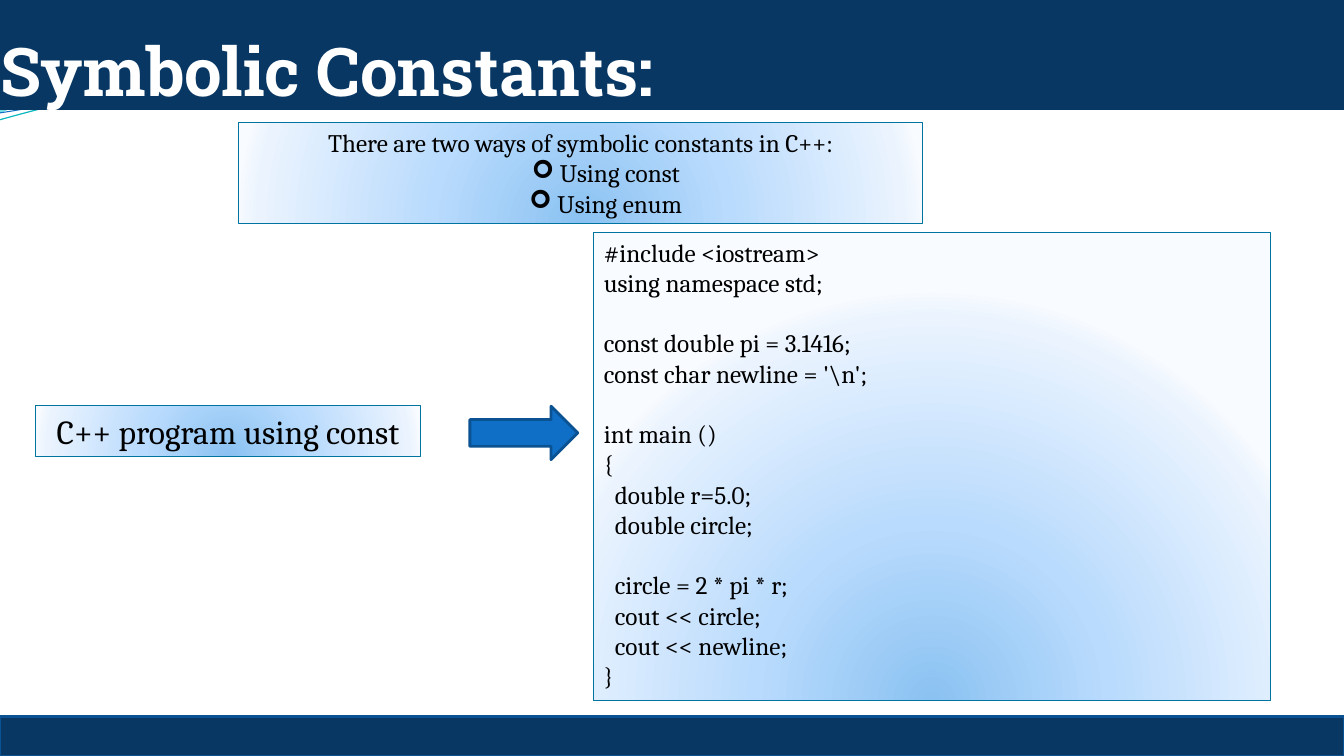
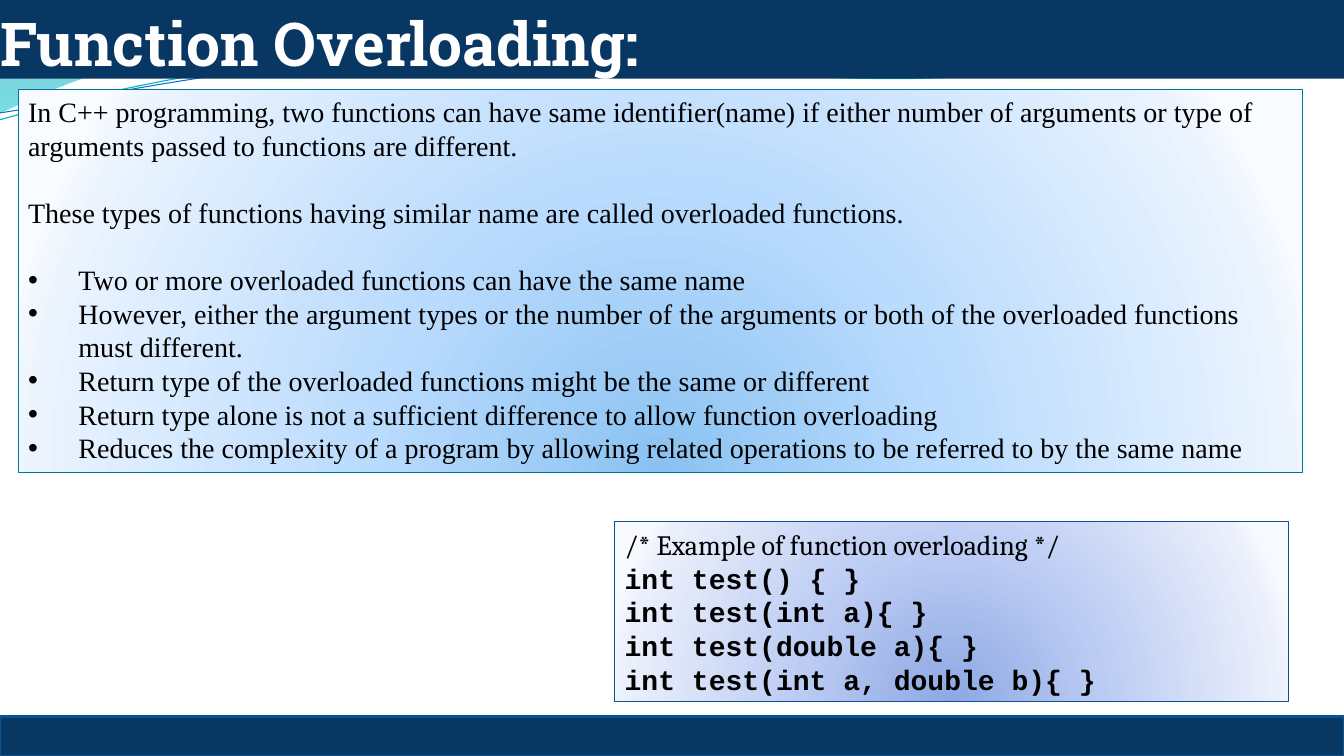
import dataclasses
import typing

import pptx
import pptx.dml.color
import pptx.enum.shapes
import pptx.enum.text
import pptx.oxml
import pptx.oxml.ns
import pptx.util

SHAPE = pptx.enum.shapes.MSO_SHAPE
ANCHOR = pptx.enum.text.MSO_ANCHOR
ALIGN = pptx.enum.text.PP_ALIGN
AUTO_SIZE = pptx.enum.text.MSO_AUTO_SIZE

WIDTH = pptx.util.Inches(13.33)
HEIGHT = pptx.util.Inches(7.5)
CELL_PARTS = 100
CELL_PART = pptx.util.Inches(1) / CELL_PARTS
LINE_HEIGHT = 1.2

NAVY, WHITE, BLACK = "083763", "FFFFFF", "000000"
BLUE, BLUE_EDGE = "0F6FC6", "0B5292"

Point = tuple[float, float]
Stop = tuple[float, str, float]


@dataclasses.dataclass(frozen=True)
class Area:
    left: float
    top: float
    width: float
    height: float

    def emu(self) -> tuple[int, int, int, int]:
        return (
            round(WIDTH * self.left / 100),
            round(HEIGHT * self.top / 100),
            round(WIDTH * self.width / 100),
            round(HEIGHT * self.height / 100),
        )


@dataclasses.dataclass(frozen=True)
class Wave:
    start: Point
    segments: tuple[tuple[Point, ...], ...]
    stops: tuple[Stop, ...] = ()
    line: str = ""
    weight: float = 0


@dataclasses.dataclass(frozen=True)
class Palette:
    stops: tuple[Stop, ...]
    line: str


@dataclasses.dataclass(frozen=True)
class Line:
    text: str
    bullet: str = ""
    bullet_font: str = ""
    level: int = 0
    margin: float = 0
    hanging: float = 0
    gap: bool = False
    font: str = ""


@dataclasses.dataclass(frozen=True)
class Panel:
    area: Area
    lines: tuple[Line, ...]
    palette: Palette
    size: float = 18
    font: str = "Cambria"
    align: typing.Any = ALIGN.LEFT
    anchor: typing.Any = ANCHOR.TOP


@dataclasses.dataclass(frozen=True)
class Topic:
    title: str
    title_size: float
    title_height: float
    panels: tuple[Panel, ...]
    arrow: typing.Optional[Area] = None


WAVES = (
    Wave(
        (0, 0),
        (
            ((5.87, -0.01),),
            ((6.34, 0.17), (8.85, 0.63), (10.11, 0.63)),
            ((11.38, 0.63), (12.78, 0.26), (13.33, 0.09)),
            ((13.35, 0.36),),
            ((13.11, 0.44), (11.6, 0.76), (9.94, 0.75)),
            ((8.29, 0.75), (5.09, 0.28), (3.43, 0.34)),
            ((1.72, 0.36), (0.61, 0.83), (-0.01, 1.13)),
            ((0, 0),),
        ),
        stops=((0, "0074A1", 45), (100, "00C6CF", 55)),
    ),
    Wave(
        (6.39, -0.01),
        (
            ((6.79, 0.11), (9.09, 0.62), (10.25, 0.65)),
            ((11.41, 0.69), (12.82, 0.32), (13.33, 0.21)),
            ((13.33, 0),),
            ((6.39, -0.01),),
        ),
        stops=((0, "00A1A9", 30), (80, "008BBF", 45)),
    ),
    Wave(
        (-0.01, 1.19),
        (
            ((0.64, 1.01), (2.11, 0.62), (3.69, 0.55)),
            ((5.27, 0.48), (7.9, 0.87), (9.5, 0.76)),
            ((11.1, 0.66), (12.52, 0.08), (13.31, -0.1)),
        ),
        line="0AB8BF",
        weight=0.85,
    ),
    Wave(
        (0, 1.12),
        (
            ((0.63, 1.03), (2.18, 0.66), (3.78, 0.59)),
            ((5.37, 0.53), (7.96, 0.82), (9.55, 0.72)),
            ((11.15, 0.62), (12.55, 0.14), (13.34, -0.02)),
        ),
        line=BLUE,
        weight=0.75,
    ),
)

SKY = Palette(
    ((0, "8BC2F1", 100), (43, "B9DBFD", 100), (93, "EAF3FE", 100), (100, "F8FBFF", 100)),
    "0074A1",
)
LILAC = Palette(
    ((0, "8DA8E3", 100), (43, "BBCBF3", 100), (93, "EAEFFB", 100), (100, "F7F9FF", 100)),
    "095295",
)

FOOTER = Area(0, 94.8, 100, 5.2)
CHEVRON = {"bullet": "➢", "bullet_font": "Wingdings", "level": 1, "margin": 0.5}
DOT = {"bullet": "•", "bullet_font": "Arial", "margin": 0.5, "hanging": -0.5}
NESTED = {"margin": 0.11}
CODE = {"font": "Courier New"}

TOPICS = (
    Topic(
        "Symbolic Constants:", 48, 14.53,
        (
            Panel(
                Area(17.78, 16.2, 50.86, 13.4),
                (
                    Line("There are two ways of symbolic constants in C++:"),
                    Line(" Using const", **CHEVRON),
                    Line(" Using enum", **CHEVRON),
                ),
                SKY,
                align=ALIGN.CENTER,
            ),
            Panel(
                Area(44.19, 30.7, 50.34, 61.92),
                (
                    Line("#include <iostream>"),
                    Line("using namespace std;"),
                    Line("const double pi = 3.1416;", gap=True),
                    Line("const char newline = '\\n';"),
                    Line("int main ()", gap=True),
                    Line("{"),
                    Line("double r=5.0;", **NESTED),
                    Line("double circle;", **NESTED),
                    Line("circle = 2 * pi * r;", gap=True, **NESTED),
                    Line("cout << circle;", **NESTED),
                    Line("cout << newline;", **NESTED),
                    Line("}"),
                ),
                SKY,
            ),
            Panel(
                Area(2.63, 53.65, 28.66, 6.7),
                (Line("C++ program using const"),),
                SKY,
                size=24,
                align=ALIGN.CENTER,
            ),
        ),
        arrow=Area(34.96, 53.73, 8.03, 7.07),
    ),
    Topic(
        "Function Overloading:", 43.2, 10.4,
        (
            Panel(
                Area(1.35, 11.87, 95.57, 50.7),
                (
                    Line("In C++ programming, two functions can have same identifier(name) if either number of arguments or type of arguments passed to functions are different."),
                    Line("These types of functions having similar name are called overloaded functions.", gap=True),
                    Line("Two or more overloaded functions can have the same name", gap=True, **DOT),
                    Line("However, either the argument types or the number of the arguments or both of the overloaded functions must different.", **DOT),
                    Line("Return type of the overloaded functions might be the same or different", **DOT),
                    Line("Return type alone is not a sufficient difference to allow function overloading", **DOT),
                    Line("Reduces the complexity of a program by allowing related operations to be referred to by the same name", **DOT),
                ),
                SKY,
                size=20,
                font="Times New Roman",
            ),
            Panel(
                Area(45.74, 69.03, 50.1, 23.73),
                (
                    Line("/* Example of function overloading */"),
                    Line("int test() { }", **CODE),
                    Line("int test(int a){ }", **CODE),
                    Line("int test(double a){ }", **CODE),
                    Line("int test(int a, double b){ }", **CODE),
                ),
                LILAC,
                size=20,
                anchor=ANCHOR.MIDDLE,
            ),
        ),
    ),
)


def rgb(value: str) -> pptx.dml.color.RGBColor:
    return pptx.dml.color.RGBColor.from_string(value)


def apply(target: typing.Any, values: dict[str, typing.Any]) -> None:
    for name, value in values.items():
        setattr(target, name, value)


def element(markup: str) -> typing.Any:
    head, rest = markup.split(" ", 1)
    return pptx.oxml.parse_xml(f"{head} {pptx.oxml.ns.nsdecls('a')} {rest}")


def paint(shape: typing.Any, fill: str = "", line: str = "", weight: float = 0) -> None:
    if fill:
        shape.fill.solid()
        shape.fill.fore_color.rgb = rgb(fill)
    else:
        shape.fill.background()
    if line:
        shape.line.color.rgb = rgb(line)
        shape.line.width = pptx.util.Pt(weight)
    else:
        shape.line.fill.background()
    shape.shadow.inherit = False


def paint_gradient(shape: typing.Any, stops: tuple[Stop, ...], direction: str) -> None:
    marks = "".join(
        f'<a:gs pos="{place * 1000}"><a:srgbClr val="{value}"><a:alpha val="{alpha * 1000}"/></a:srgbClr></a:gs>'
        for place, value, alpha in stops
    )
    gradient = element(f'<a:gradFill rotWithShape="1"><a:gsLst>{marks}</a:gsLst>{direction}</a:gradFill>')
    properties = shape._element.spPr
    properties.replace(properties.find(pptx.oxml.ns.qn("a:noFill")), gradient)


def bend_segments(shape: typing.Any, segments: tuple[tuple[Point, ...], ...]) -> None:
    steps = iter(list(shape._element.spPr.iter(pptx.oxml.ns.qn("a:lnTo"))))
    for segment in segments:
        group = [next(steps) for _ in segment]
        if len(group) == 3:
            bend = element("<a:cubicBezTo />")
            group[0].addprevious(bend)
            for step in group:
                bend.append(step[0])
                step.getparent().remove(step)


def draw_wave(page: typing.Any, wave: Wave) -> None:
    start, *points = [
        (round(column * CELL_PARTS), round(row * CELL_PARTS))
        for segment in ((wave.start,), *wave.segments)
        for column, row in segment
    ]
    builder = page.shapes.build_freeform(*start, scale=CELL_PART)
    builder.add_line_segments(points, close=bool(wave.stops))
    shape = builder.convert_to_shape()
    bend_segments(shape, wave.segments)
    paint(shape, line=wave.line, weight=wave.weight)
    if wave.stops:
        paint_gradient(shape, wave.stops, '<a:lin ang="5400000" scaled="1"/>')


def write(para: typing.Any, text: str, font: str, size: float, color: str, bold: bool) -> None:
    span = para.add_run()
    span.text = text
    apply(span.font, {"name": font, "size": pptx.util.Pt(size), "bold": bold})
    span.font.color.rgb = rgb(color)


def draw_title(page: typing.Any, topic: Topic) -> None:
    title = page.shapes.title
    page.shapes._spTree.append(title._element)
    places = Area(0, 0, 100, topic.title_height).emu()
    apply(title, dict(zip(("left", "top", "width", "height"), places)))
    paint(title, NAVY)
    frame = title.text_frame
    apply(frame, {
        "margin_left": 0, "margin_right": 0, "margin_bottom": 0,
        "margin_top": pptx.util.Inches(0.05), "word_wrap": True,
        "vertical_anchor": ANCHOR.BOTTOM, "auto_size": AUTO_SIZE.NONE,
    })
    para = frame.paragraphs[0]
    para.alignment = ALIGN.LEFT
    write(para, topic.title, "Roboto Slab", topic.title_size, WHITE, True)


def draw_block(page: typing.Any, kind: typing.Any, area: Area, fill: str) -> None:
    paint(page.shapes.add_shape(kind, *area.emu()), fill, BLUE_EDGE, 2)


def draw_panel(page: typing.Any, panel: Panel) -> None:
    box = page.shapes.add_shape(SHAPE.RECTANGLE, *panel.area.emu())
    paint(box, line=panel.palette.line, weight=0.75)
    paint_gradient(
        box, panel.palette.stops,
        '<a:path path="circle"><a:fillToRect l="50000" t="130000" r="50000" b="-30000"/></a:path>',
    )
    frame = box.text_frame
    apply(frame, {"word_wrap": True, "vertical_anchor": panel.anchor, "auto_size": AUTO_SIZE.SHAPE_TO_FIT_TEXT})
    for index, line in enumerate(panel.lines):
        para = frame.add_paragraph() if index else frame.paragraphs[0]
        space = pptx.util.Pt(panel.size * LINE_HEIGHT if line.gap else 0)
        apply(para, {"alignment": panel.align, "level": line.level, "space_before": space})
        properties = para._p.get_or_add_pPr()
        properties.set("marL", str(pptx.util.Inches(line.margin)))
        properties.set("indent", str(pptx.util.Inches(line.hanging)))
        if line.bullet:
            properties.append(element(f'<a:buFont typeface="{line.bullet_font}"/>'))
            properties.append(element(f'<a:buChar char="{line.bullet}"/>'))
        write(para, line.text, line.font or panel.font, panel.size, BLACK, bool(line.font))


def draw_topic(deck: typing.Any, topic: Topic) -> None:
    page = deck.slides.add_slide(deck.slide_layouts.get_by_name("Title Only"))
    for wave in WAVES:
        draw_wave(page, wave)
    draw_title(page, topic)
    draw_block(page, SHAPE.RECTANGLE, FOOTER, NAVY)
    for panel in topic.panels:
        draw_panel(page, panel)
    if topic.arrow:
        draw_block(page, SHAPE.RIGHT_ARROW, topic.arrow, BLUE)


def main() -> None:
    deck = pptx.Presentation()
    apply(deck, {"slide_width": WIDTH, "slide_height": HEIGHT})
    for topic in TOPICS:
        draw_topic(deck, topic)
    deck.save("out.pptx")


if __name__ == "__main__":
    main()
